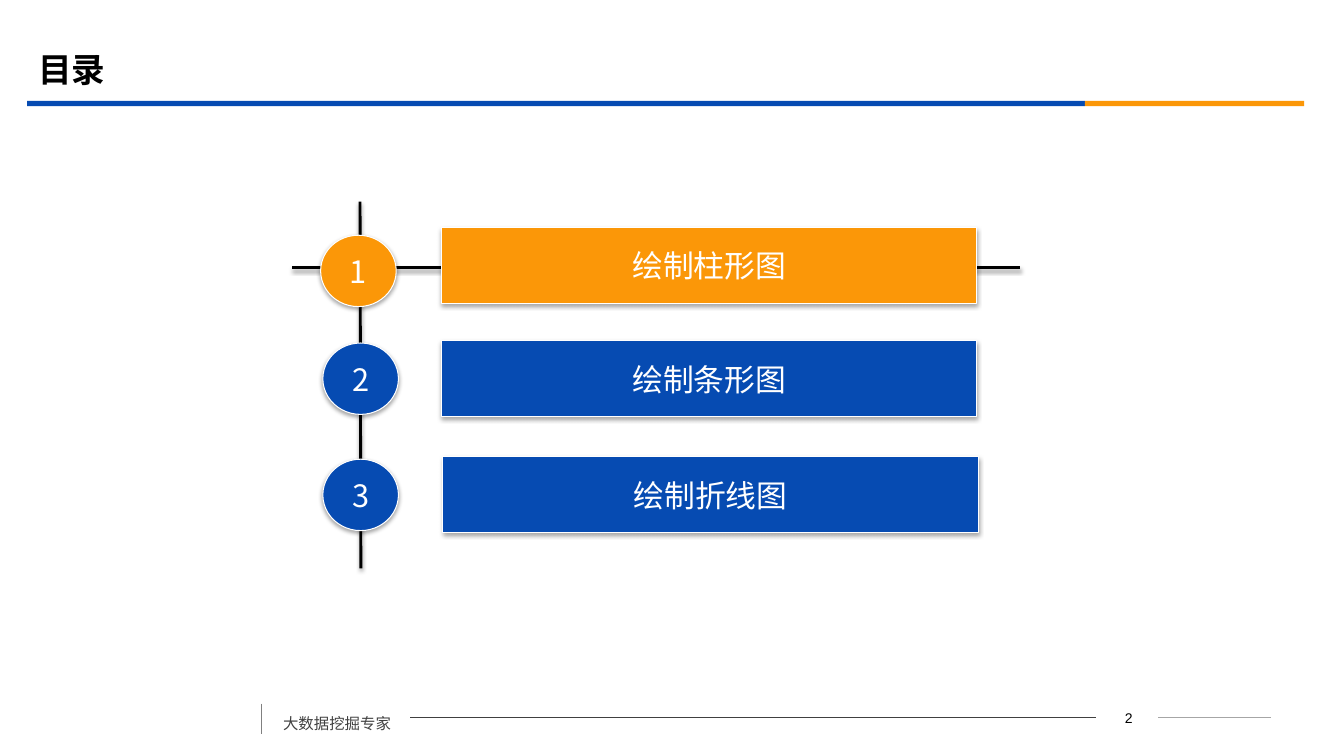
from lxml import etree
from pptx import Presentation
from pptx import util as u
from pptx.dml.color import RGBColor
from pptx.enum import shapes, text
from pptx.oxml.ns import qn

BLUE, GOLD, BLACK, WHITE = "064BB2", "FB9708", "000000", "FFFFFF"
SANS = "Noto Sans CJK SC"
KIND = shapes.MSO_SHAPE
ALIGN = text.PP_ALIGN
MID = text.MSO_ANCHOR.MIDDLE


def tint(code):
    return RGBColor.from_string(code)


def box(*sides):
    return [u.Pt(side) for side in sides]


class Deck:
    def __init__(self, wide, high):
        self.file = Presentation()
        self.file.slide_width, self.file.slide_height = box(wide, high)
        self.slide = self.file.slides.add_slide(self.file.slide_layouts[5])

    def fill_text(self, frame, words, size, color, font=SANS, bold=False, align=ALIGN.LEFT):
        para = frame.paragraphs[0]
        para.alignment = align
        run = para.add_run()
        run.text = words
        run.font.size = u.Pt(size)
        run.font.bold = bold
        run.font.name = font
        run.font.color.rgb = tint(color)
        etree.SubElement(run._r.get_or_add_rPr(), qn("a:ea"), typeface=font)
        return para

    def title(self, words, place):
        head = self.slide.shapes.title
        head.left, head.top, head.width, head.height = box(*place)
        frame = head.text_frame
        frame.auto_size = text.MSO_AUTO_SIZE.NONE
        frame.vertical_anchor = MID
        self.fill_text(frame, words, 24, BLACK, bold=True)

    def label(self, words, place, size, color, font=SANS, align=ALIGN.LEFT):
        frame = self.slide.shapes.add_textbox(*box(*place)).text_frame
        frame.word_wrap = True
        return self.fill_text(frame, words, size, color, font, align=align)

    def shade(self, effects, fade, drop):
        cast = etree.SubElement(effects, qn("a:outerShdw"), blurRad=str(u.Pt(3.1)),
                                dist=str(u.Pt(drop)), dir="5400000", rotWithShape="0")
        ink = etree.SubElement(cast, qn("a:srgbClr"), val=BLACK)
        etree.SubElement(ink, qn("a:alpha"), val=str(fade * 1000))

    def line(self, start, end, color, width, shadow=False):
        rule = self.slide.shapes.add_connector(
            shapes.MSO_CONNECTOR.STRAIGHT, *box(*start, *end))
        rule.line.color.rgb = tint(color)
        rule.line.width = u.Pt(width)
        effects = etree.SubElement(rule._element.spPr, qn("a:effectLst"))
        if shadow:
            self.shade(effects, 38, 1.6)

    def shape(self, kind, place, fill):
        item = self.slide.shapes.add_shape(kind, *box(*place))
        item.shadow.inherit = False
        item.fill.solid()
        item.fill.fore_color.rgb = tint(fill)
        item.line.fill.background()
        return item

    def button(self, kind, place, fill, words):
        item = self.shape(kind, place, fill)
        item.line.color.rgb = tint(WHITE)
        item.line.width = u.Pt(0.75)
        self.shade(item._element.spPr.find(qn("a:effectLst")), 35, 1.8)
        frame = item.text_frame
        frame.word_wrap = False
        frame.vertical_anchor = MID
        self.fill_text(frame, words, 22, WHITE, align=ALIGN.CENTER)


def main():
    deck = Deck(960, 540)
    deck.title("目录", (20, 28, 864, 42))
    deck.shape(KIND.RECTANGLE, (19.4, 72, 755.6, 3.9), BLUE)
    deck.shape(KIND.RECTANGLE, (775, 72, 156.6, 3.9), GOLD)

    deck.line((186.5, 502.6), (186.5, 524.2), "808080", 0.75)
    deck.line((293, 512.6), (782.6, 512.6), "404040", 0.75)
    deck.line((827.3, 512.6), (907.9, 512.6), "A6A6A6", 0.75)
    slogan = deck.label("大数据挖掘专家", (195.1, 499.7, 97.9, 27.4), 11, "404040")
    slogan.line_spacing = 1.5
    deck.label("2", (784, 503.3, 44.6, 18), 10, BLACK, "Arial", ALIGN.CENTER)

    deck.line((257.2, 144), (257.8, 406), BLACK, 2, True)
    deck.line((208.8, 190.8), (728.6, 190.8), BLACK, 2, True)
    topics = [
        ("绘制柱形图", GOLD, 229, 168, 315.4, 162.7),
        ("绘制条形图", BLUE, 230.6, 245, 315.4, 243.5),
        ("绘制折线图", BLUE, 230.6, 328, 316.4, 326.4),
    ]
    for rank, (words, fill, left, top, edge, roof) in enumerate(topics, 1):
        deck.button(KIND.OVAL, (left, top, 54, 51), fill, str(rank))
        deck.button(KIND.ACTION_BUTTON_CUSTOM, (edge, roof, 382.3, 54), fill, words)

    deck.file.save("out.pptx")


if __name__ == "__main__":
    main()
